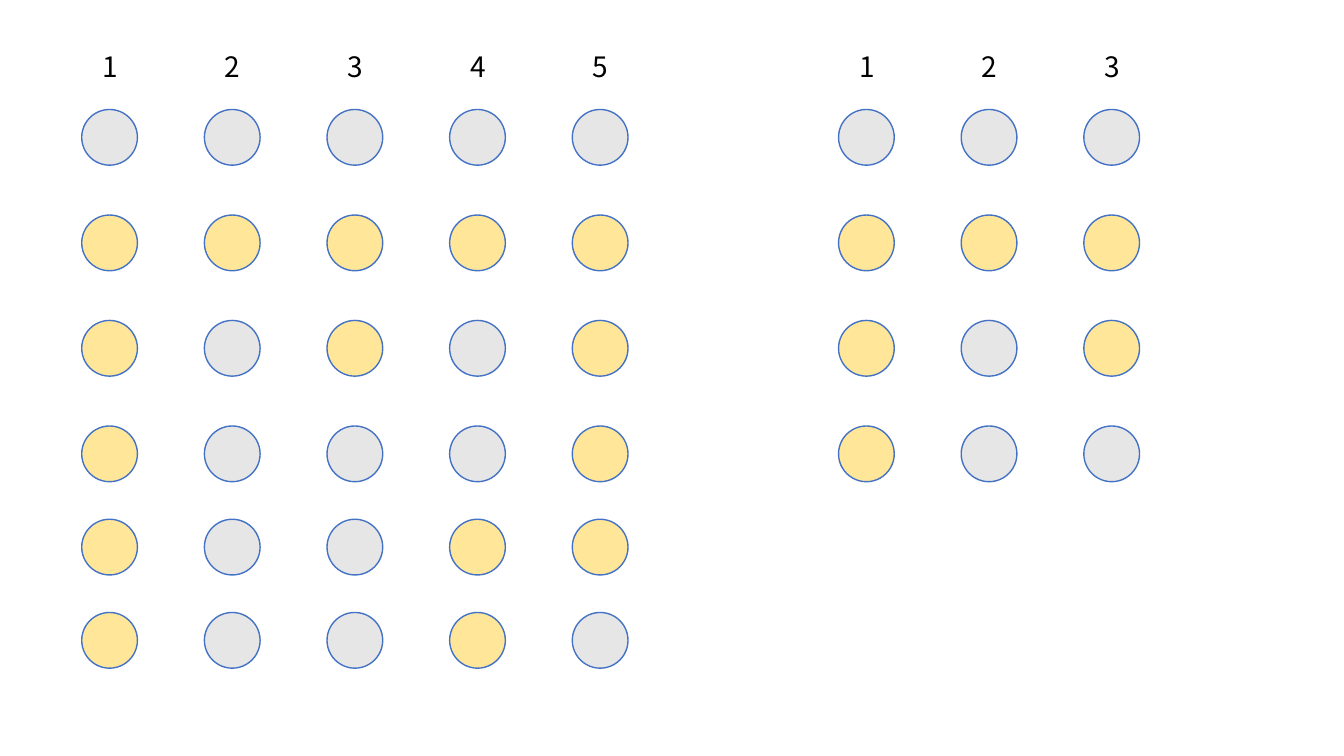
from pptx import Presentation
from pptx.dml.color import RGBColor
from pptx.enum.shapes import MSO_SHAPE
from pptx.enum.text import MSO_AUTO_SIZE, PP_ALIGN
from pptx.util import Pt

BLACK = RGBColor(0x00, 0x00, 0x00)
BLUE = RGBColor(0x44, 0x72, 0xC4)
GREY = RGBColor(0xE7, 0xE6, 0xE6)
YELLOW = RGBColor(0xFF, 0xE6, 0x99)
FONT = "Noto Sans CJK JP"

DIAMETER = 39.8
COLUMN_PITCH = 87.6
LABEL_WIDTH, LABEL_HEIGHT = 24.6, 31.7
ROW_OFFSETS = [46.5, 121.9, 197.2, 272.6, 339.2, 405.8]

FIVE_LAMPS = ["00000", "11111", "10101", "10001", "10011", "10010"]
THREE_LAMPS = ["000", "111", "101", "100"]


def add_label(page, center, top, text):
    """Add a column number centred on the given horizontal position."""
    box = page.shapes.add_textbox(Pt(center - LABEL_WIDTH / 2), Pt(top),
                                  Pt(LABEL_WIDTH), Pt(LABEL_HEIGHT))
    frame = box.text_frame
    frame.word_wrap = False
    frame.auto_size = MSO_AUTO_SIZE.SHAPE_TO_FIT_TEXT
    frame.text = text
    para = frame.paragraphs[0]
    para.alignment = PP_ALIGN.CENTER
    span = para.runs[0]
    span.font.name = FONT
    span.font.size = Pt(20)
    span.font.color.rgb = BLACK


def add_lamp(page, left, top, lit):
    """Add one circle, yellow when lit and grey otherwise."""
    lamp = page.shapes.add_shape(MSO_SHAPE.OVAL, Pt(left), Pt(top),
                                 Pt(DIAMETER), Pt(DIAMETER))
    lamp.shadow.inherit = False
    lamp.fill.solid()
    lamp.fill.fore_color.rgb = YELLOW if lit else GREY
    lamp.line.color.rgb = BLUE
    lamp.line.width = Pt(1)


def add_lamp_grid(page, left, top, states):
    """Add numbered columns of lamps, one row for each state."""
    for column in range(len(states[0])):
        center = left + column * COLUMN_PITCH + DIAMETER / 2
        add_label(page, center, top, str(column + 1))
    for offset, state in zip(ROW_OFFSETS, states):
        for column, mark in enumerate(state):
            add_lamp(page, left + column * COLUMN_PITCH, top + offset, mark == "1")


def main():
    """Build the slide with both lamp grids and save it."""
    deck = Presentation()
    deck.slide_width, deck.slide_height = Pt(960), Pt(540)
    page = deck.slides.add_slide(deck.slide_layouts[6])
    add_lamp_grid(page, 58.4, 31.7, FIVE_LAMPS)
    add_lamp_grid(page, 599, 31.7, THREE_LAMPS)
    deck.save("out.pptx")


if __name__ == "__main__":
    main()
